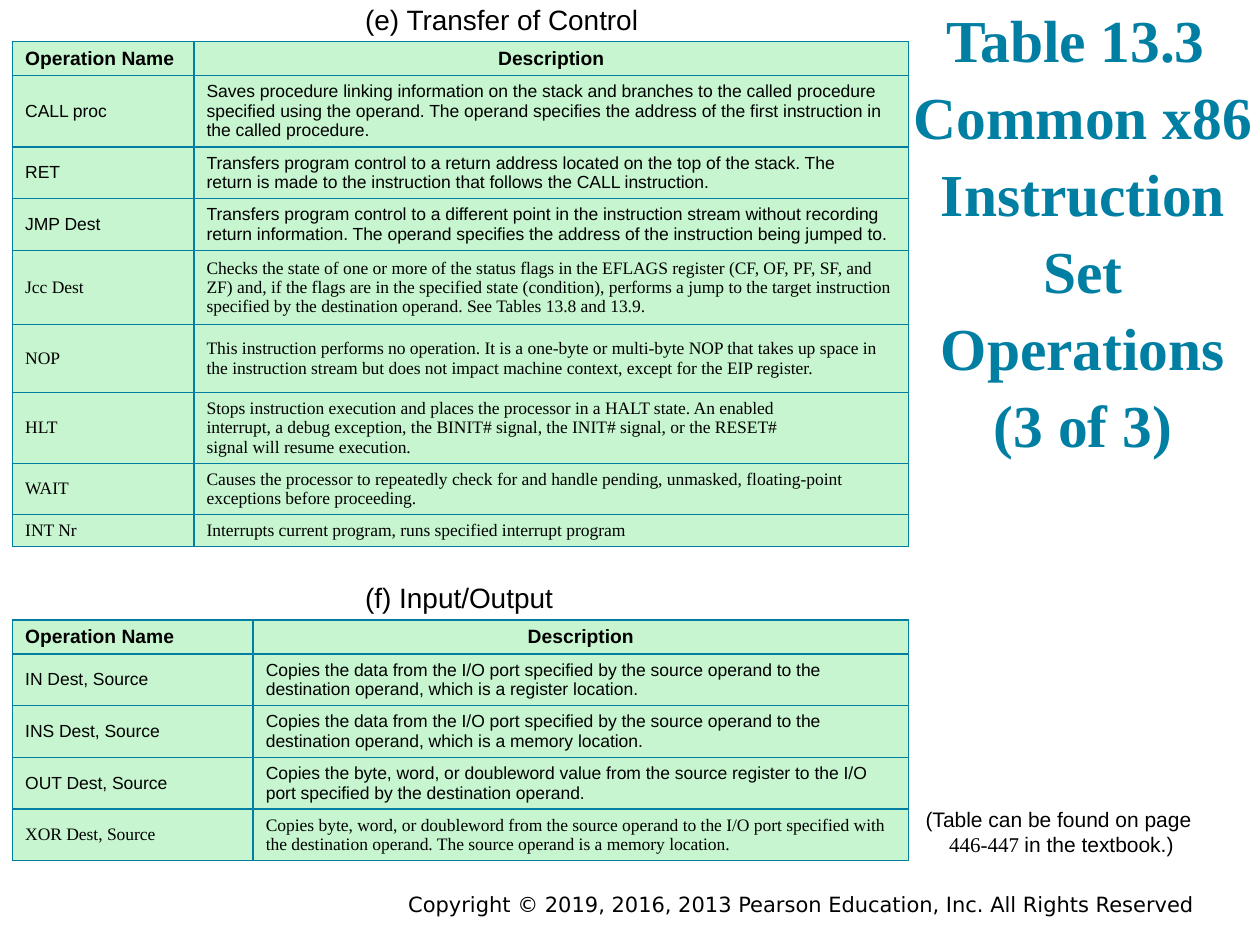
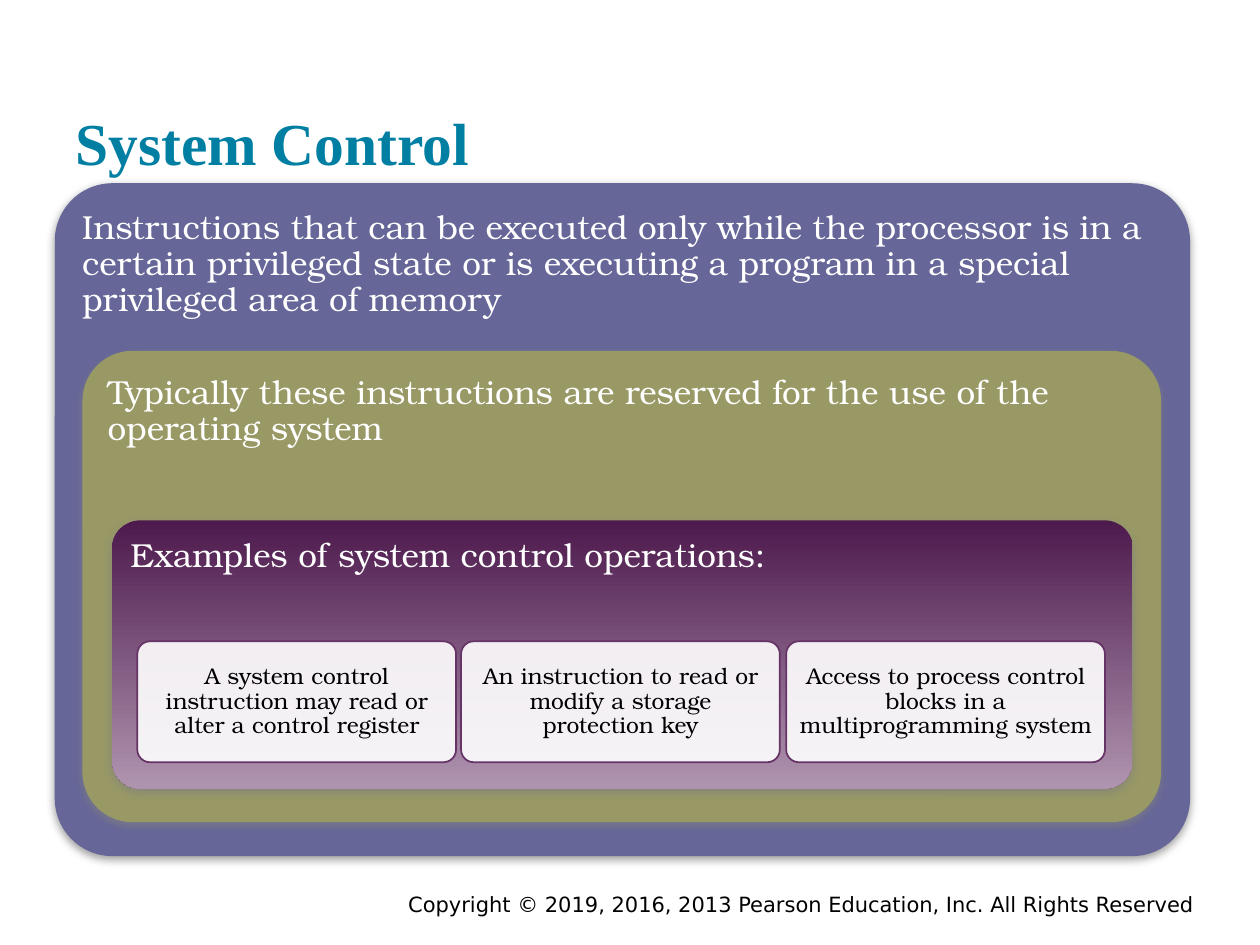
from copy import deepcopy
from dataclasses import dataclass

from lxml.etree import SubElement
from pptx import Presentation
from pptx.dml.color import RGBColor
from pptx.enum.shapes import MSO_SHAPE
from pptx.enum.text import MSO_ANCHOR, MSO_AUTO_SIZE, PP_ALIGN
from pptx.oxml.ns import qn
from pptx.util import Emu, Pt

EMU_PER_PX = 9144
TITLE_ONLY = 5


@dataclass(frozen=True)
class Theme:
    teal: str = "007FA3"
    black: str = "000000"
    white: str = "FFFFFF"
    mint: str = "C6F5CF"
    slate: str = "666699"
    olive: str = "999966"
    plum: str = "663366"
    plum_dark: str = "4D1A4D"
    plum_light: str = "AF94AF"
    shadow: str = "808080"
    serif: str = "Times New Roman"
    sans: str = "Arial"
    panel_font: str = "TeX Gyre Bonum"
    footer_font: str = "DejaVu Sans"
    title_size: int = 34
    panel_size: int = 19
    caption_size: int = 16
    button_size: int = 13
    note_size: int = 12
    header_size: int = 11
    cell_size: int = 10


HEADER = ("Operation Name", "Description")
FIRST_SERIF_ROW = 4

TRANSFER_ROWS = [
    HEADER,
    ("CALL proc", "Saves procedure linking information on the stack and branches to the called procedure "
     "specified using the operand. The operand specifies the address of the first instruction in the "
     "called procedure."),
    ("RET", "Transfers program control to a return address located on the top of the stack. The\n"
     "return is made to the instruction that follows the CALL instruction."),
    ("JMP Dest", "Transfers program control to a different point in the instruction stream without "
     "recording return information. The operand specifies the address of the instruction being jumped to."),
    ("Jcc Dest", "Checks the state of one or more of the status flags in the EFLAGS register (CF, OF, PF, "
     "SF, and ZF) and, if the flags are in the specified state (condition), performs a jump to the target "
     "instruction specified by the destination operand. See Tables 13.8 and 13.9."),
    ("NOP", "This instruction performs no operation. It is a one-byte or multi-byte NOP that takes up space "
     "in the instruction stream but does not impact machine context, except for the EIP register."),
    ("HLT", "Stops instruction execution and places the processor in a HALT state. An enabled\n"
     "interrupt, a debug exception, the BINIT# signal, the INIT# signal, or the RESET#\n"
     "signal will resume execution."),
    ("WAIT", "Causes the processor to repeatedly check for and handle pending, unmasked, floating-point "
     "exceptions before proceeding."),
    ("INT Nr", "Interrupts current program, runs specified interrupt program"),
]

INPUT_OUTPUT_ROWS = [
    HEADER,
    ("IN Dest, Source", "Copies the data from the I/O port specified by the source operand to the "
     "destination operand, which is a register location."),
    ("INS Dest, Source", "Copies the data from the I/O port specified by the source operand to the "
     "destination operand, which is a memory location."),
    ("OUT Dest, Source", "Copies the byte, word, or doubleword value from the source register to the I/O "
     "port specified by the destination operand."),
    ("XOR Dest, Source", "Copies byte, word, or doubleword from the source operand to the I/O port specified "
     "with the destination operand. The source operand is a memory location."),
]

PANEL_TEXTS = [
    "Instructions that can be executed only while the processor is in a certain privileged state or is "
    "executing a program in a special privileged area of memory",
    "Typically these instructions are reserved for the use of the operating system",
    "Examples of system control operations:",
]

BUTTON_TEXTS = [
    "A system control instruction may read or alter a control register",
    "An instruction to read or modify a storage protection key",
    "Access to process control blocks in a multiprogramming system",
]


def px(length):
    return Emu(length * EMU_PER_PX)


def color(value):
    return RGBColor.from_string(value)


def format_run(run, size, font, ink, bold):
    run.font.size = Pt(size)
    run.font.name = font
    run.font.bold = bold
    run.font.color.rgb = color(ink)


def write(frame, text, size, font, ink=Theme.black, bold=False, align=PP_ALIGN.LEFT,
          anchor=MSO_ANCHOR.TOP, spacing=None, inset=None, wrap=True, grow=False):
    frame.word_wrap = wrap
    frame.auto_size = MSO_AUTO_SIZE.SHAPE_TO_FIT_TEXT if grow else MSO_AUTO_SIZE.NONE
    frame.vertical_anchor = anchor
    if inset is not None:
        frame.margin_left = frame.margin_right = px(inset)
        frame.margin_top = frame.margin_bottom = px(inset)
    frame.text = text
    for paragraph in frame.paragraphs:
        paragraph.alignment = align
        if spacing:
            paragraph.line_spacing = spacing
        for run in paragraph.runs:
            format_run(run, size, font, ink, bold)


class Deck:
    def __init__(self, theme):
        self.theme = theme
        self.presentation = Presentation()
        self.presentation.slide_width = px(1000)
        self.presentation.slide_height = px(750)
        self.slide = None

    def add_slide(self):
        layout = self.presentation.slide_layouts[TITLE_ONLY]
        self.slide = self.presentation.slides.add_slide(layout)

    def title(self, text, left, top, width, height, align=PP_ALIGN.LEFT):
        shape = self.slide.shapes.title
        shape.left, shape.top, shape.width, shape.height = map(px, (left, top, width, height))
        write(shape.text_frame, text, self.theme.title_size, self.theme.serif, ink=self.theme.teal,
              bold=True, align=align, anchor=MSO_ANCHOR.BOTTOM, spacing=1.08)
        run_format = next(shape.element.iter(qn("a:rPr")))
        for line_break in shape.element.iter(qn("a:br")):
            line_break.append(deepcopy(run_format))

    def text_box(self, text, left, top, width, height, size, font, **text_format):
        box = self.slide.shapes.add_textbox(*map(px, (left, top, width, height)))
        write(box.text_frame, text, size, font, **text_format)
        return box

    def master_footer(self, text):
        box = self.text_box(text, 175, 703, 783, 22, self.theme.note_size,
                            self.theme.footer_font, align=PP_ALIGN.RIGHT)
        self.presentation.slide_master.shapes.element.append(box.element)

    def caption(self, text, top, width):
        self.text_box(text, 280, top, width, 37, self.theme.caption_size, self.theme.sans,
                      wrap=False, grow=True)

    def page_note(self, opening, pages, closing):
        box = self.text_box(opening + "\n" + pages, 685, 635, 315, 50, self.theme.note_size,
                            self.theme.sans, align=PP_ALIGN.CENTER, grow=True)
        paragraph = box.text_frame.paragraphs[1]
        paragraph.runs[0].font.name = self.theme.serif
        run = paragraph.add_run()
        run.text = closing
        format_run(run, self.theme.note_size, self.theme.sans, self.theme.black, False)

    def cell_borders(self, cell):
        properties = cell._tc.get_or_add_tcPr()
        for side in ("lnL", "lnR", "lnT", "lnB"):
            line = SubElement(properties, qn("a:" + side), w=str(Pt(1)))
            fill = SubElement(line, qn("a:solidFill"))
            SubElement(fill, qn("a:srgbClr"), val=self.theme.teal)

    def table(self, rows, top, column_widths, row_heights):
        frame = self.slide.shapes.add_table(len(rows), len(column_widths), px(10), px(top),
                                            px(sum(column_widths)), px(sum(row_heights)))
        table = frame.table
        table.first_row = table.horz_banding = False
        for column, width in zip(table.columns, column_widths):
            column.width = px(width)
        for row_index, (texts, height) in enumerate(zip(rows, row_heights)):
            table.rows[row_index].height = px(height)
            is_header = row_index == 0
            size = self.theme.header_size if is_header else self.theme.cell_size
            font = self.theme.serif if row_index >= FIRST_SERIF_ROW else self.theme.sans
            for column_index, text in enumerate(texts):
                cell = table.cell(row_index, column_index)
                centred = is_header and column_index == 1
                write(cell.text_frame, text, size, font, bold=is_header,
                      align=PP_ALIGN.CENTER if centred else PP_ALIGN.LEFT)
                cell.vertical_anchor = MSO_ANCHOR.MIDDLE
                self.cell_borders(cell)
                cell.fill.solid()
                cell.fill.fore_color.rgb = color(self.theme.mint)

    def rounded(self, left, top, width, height, corner):
        shape = self.slide.shapes.add_shape(MSO_SHAPE.ROUNDED_RECTANGLE,
                                            *map(px, (left, top, width, height)))
        shape.adjustments[0] = corner
        shape.shadow.inherit = False
        return shape

    def drop_shadow(self, shape):
        effects = shape.element.spPr.find(qn("a:effectLst"))
        shadow = SubElement(effects, qn("a:outerShdw"), blurRad=str(Pt(5)), dist=str(Pt(2)),
                            dir="5400000", rotWithShape="0")
        tint = SubElement(shadow, qn("a:srgbClr"), val=self.theme.shadow)
        SubElement(tint, qn("a:alpha"), val="75000")

    def panel(self, text, left, top, width, height, corner, fill_colors):
        shape = self.rounded(left, top, width, height, corner)
        if len(fill_colors) == 1:
            shape.fill.solid()
            shape.fill.fore_color.rgb = color(fill_colors[0])
            shape.line.color.rgb = color(fill_colors[0])
            shape.line.width = Pt(0.75)
        else:
            shape.fill.gradient()
            shape.fill.gradient_angle = 270
            for stop, value in zip(shape.fill.gradient_stops, fill_colors):
                stop.color.rgb = color(value)
            shape.line.fill.background()
        self.drop_shadow(shape)
        write(shape.text_frame, text, self.theme.panel_size, self.theme.panel_font,
              ink=self.theme.white, spacing=0.9, inset=8)

    def button(self, text, left, top, width, height):
        shape = self.rounded(left, top, width, height, 0.105)
        shape.fill.solid()
        shape.fill.fore_color.rgb = color(self.theme.white)
        fill_color = shape.element.spPr.find(qn("a:solidFill"))[0]
        SubElement(fill_color, qn("a:alpha"), val="90000")
        shape.line.color.rgb = color(self.theme.plum)
        shape.line.width = Pt(1)
        write(shape.text_frame, text, self.theme.button_size, self.theme.panel_font,
              align=PP_ALIGN.CENTER, anchor=MSO_ANCHOR.MIDDLE, spacing=0.9, inset=5)


def build_operations_slide(deck):
    deck.add_slide()
    deck.master_footer("Copyright © 2019, 2016, 2013 Pearson Education, Inc. All Rights Reserved")
    deck.title("Table 13.3 \vCommon x86 Instruction Set Operations\v(3 of 3)", 702, 28, 315, 342,
               align=PP_ALIGN.CENTER)
    deck.table(TRANSFER_ROWS, 33, (144, 567), (25, 54, 39, 39, 59, 54, 54, 39, 24))
    deck.table(INPUT_OUTPUT_ROWS, 492, (191, 520), (26, 27, 25, 40, 25))
    deck.caption("(f) Input/Output", 456, 172)
    deck.caption("(e) Transfer of Control", -3, 240)
    deck.page_note("(Table can be found on page ", "446-447 ", "in the textbook.)")


def build_system_control_slide(deck):
    theme = deck.theme
    deck.add_slide()
    deck.title("System Control", 50, 26, 900, 120)
    fills = [(theme.slate,), (theme.olive,), (theme.plum_dark, theme.plum_light)]
    corners = (0.085, 0.105, 0.105)
    for level, (text, fill_colors, corner) in enumerate(zip(PANEL_TEXTS, fills, corners)):
        deck.panel(text, 44 + 45 * level // 2, 146 + 267 * level // 2,
                   900 - 45 * level, 533 - 160 * level, corner, fill_colors)
    for index, text in enumerate(BUTTON_TEXTS):
        deck.button(text, 109 + 515 * index // 2, 509, 253, 96)


def main():
    deck = Deck(Theme())
    build_operations_slide(deck)
    build_system_control_slide(deck)
    deck.presentation.save("out.pptx")


if __name__ == "__main__":
    main()
